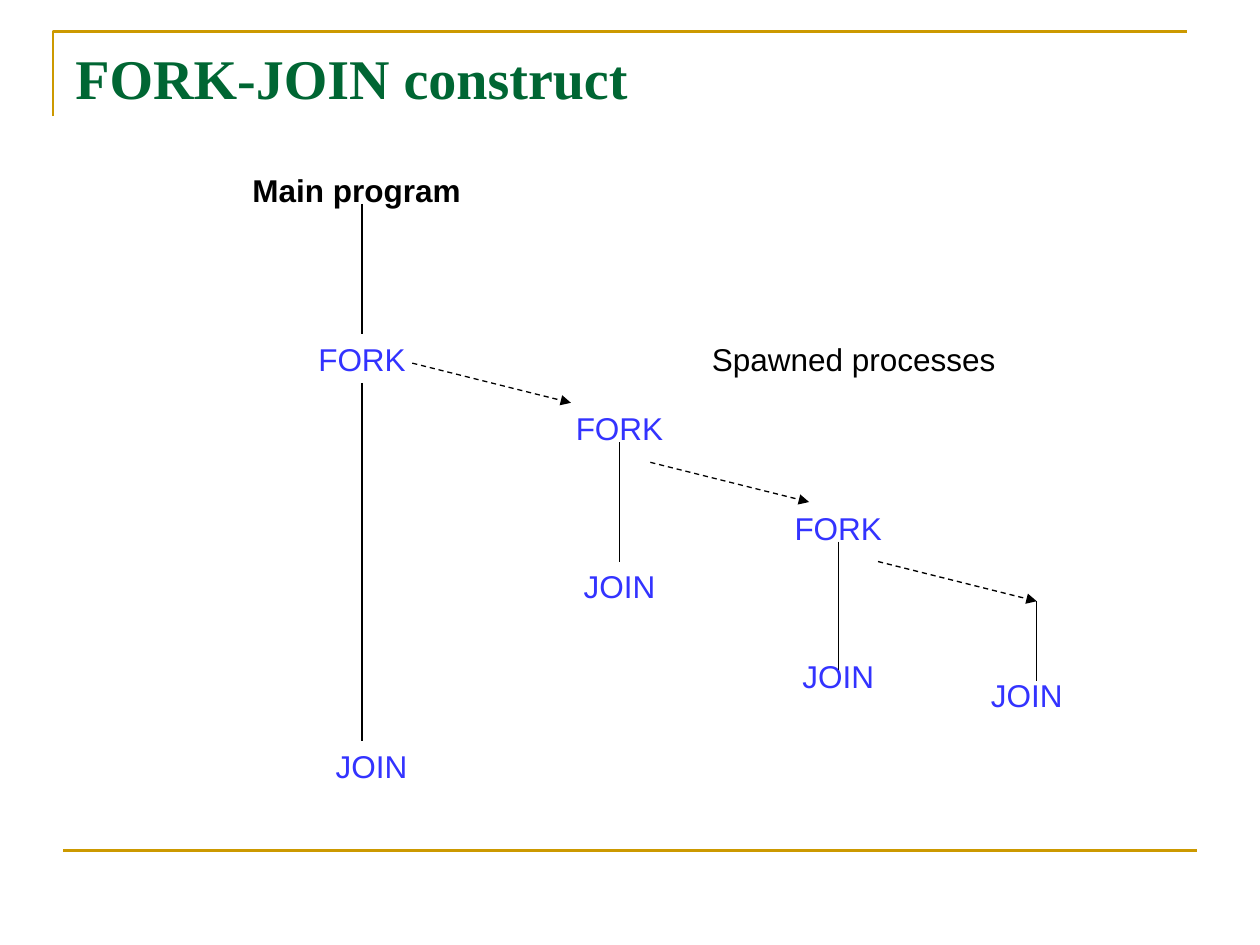
"""Build the FORK-JOIN construct slide."""
from dataclasses import dataclass

from lxml.etree import SubElement
from pptx import Presentation
from pptx.dml.color import RGBColor
from pptx.enum.dml import MSO_LINE
from pptx.enum.shapes import MSO_CONNECTOR
from pptx.enum.text import MSO_ANCHOR, MSO_AUTO_SIZE, PP_ALIGN
from pptx.oxml.ns import qn
from pptx.util import Cm, Pt


@dataclass(frozen=True)
class Theme:
    gold: RGBColor = RGBColor(0xCC, 0x99, 0x00)
    green: RGBColor = RGBColor(0x00, 0x66, 0x33)
    blue: RGBColor = RGBColor(0x33, 0x33, 0xFF)
    black: RGBColor = RGBColor(0x00, 0x00, 0x00)
    title_font: str = "Times New Roman"
    body_font: str = "Arial"
    title_size: float = 32
    body_size: float = 18
    rule_width: float = 1.5
    line_width: float = 0.75


class Painter:
    def __init__(self, page, theme):
        self.page = page
        self.theme = theme

    def text(self, words, left, top, width, height, font, size, color, bold=False, align=PP_ALIGN.LEFT):
        box = self.page.shapes.add_textbox(Cm(left), Cm(top), Cm(width), Cm(height))
        frame = box.text_frame
        frame.word_wrap = True
        frame.vertical_anchor = MSO_ANCHOR.TOP
        frame.text = words
        para = frame.paragraphs[0]
        para.alignment = align
        span = para.runs[0]
        span.font.name = font
        span.font.size = Pt(size)
        span.font.bold = bold
        span.font.color.rgb = color
        return box

    def title(self, words):
        theme = self.theme
        self.text(words, 1.27, 0.76, 22.86, 3.18, theme.title_font, theme.title_size, theme.green, True)

    def label(self, words, center, top, width, color, bold=False, align=PP_ALIGN.CENTER):
        theme = self.theme
        box = self.text(words, center - width / 2, top, width, 1.02,
                        theme.body_font, theme.body_size, color, bold, align)
        box.text_frame.auto_size = MSO_AUTO_SIZE.SHAPE_TO_FIT_TEXT

    def line(self, start, end, color, width):
        x1, y1, x2, y2 = map(Cm, (*start, *end))
        connector = self.page.shapes.add_connector(MSO_CONNECTOR.STRAIGHT, x1, y1, x2, y2)
        connector.line.color.rgb = color
        connector.line.width = Pt(width)
        SubElement(connector._element.spPr, qn("a:effectLst"))
        return connector

    def process(self, x, top, bottom):
        self.line((x, top), (x, bottom), self.theme.black, self.theme.line_width)

    def spawn(self, x, y):
        arrow = self.line((x, y), (x + 3.2, y + 0.8), self.theme.black, self.theme.line_width)
        arrow.line.dash_style = MSO_LINE.DASH
        SubElement(arrow.line._get_or_add_ln(), qn("a:tailEnd"), type="triangle")

    def corner(self, points):
        start, *rest = [(Cm(x), Cm(y)) for x, y in points]
        builder = self.page.shapes.build_freeform(*start)
        builder.add_line_segments(rest, close=False)
        shape = builder.convert_to_shape()
        shape.shadow.inherit = False
        shape.fill.background()
        shape.line.color.rgb = self.theme.gold
        shape.line.width = Pt(self.theme.rule_width)


def main():
    deck = Presentation()
    deck.slide_width, deck.slide_height = Cm(25.4), Cm(19.05)
    theme = Theme()
    painter = Painter(deck.slides.add_slide(deck.slide_layouts[6]), theme)

    painter.corner([(1.07, 2.34), (1.07, 0.64), (23.93, 0.64)])
    painter.line((1.27, 17.15), (24.13, 17.15), theme.gold, theme.rule_width)
    painter.title("FORK-JOIN construct")
    painter.label("Main program", 7.19, 3.33, 6.6, theme.black, bold=True)
    painter.label("Spawned processes", 18.61, 6.73, 9.02, theme.black, align=PP_ALIGN.LEFT)

    for center, top in [(7.3, 6.73), (12.49, 8.13), (16.9, 10.13)]:
        painter.label("FORK", center, top, 4, theme.blue)
    for center, top in [(7.49, 14.94), (12.49, 11.3), (16.9, 13.13), (20.7, 13.51)]:
        painter.label("JOIN", center, top, 3.2, theme.blue)
    for x, top, bottom in [(7.3, 4.11, 6.73), (7.3, 7.72, 14.94), (12.49, 8.92, 11.33),
                           (16.9, 10.92, 13.51), (20.9, 12.12, 13.72)]:
        painter.process(x, top, bottom)
    for x, y in [(8.31, 7.32), (13.11, 9.32), (17.7, 11.32)]:
        painter.spawn(x, y)

    deck.save("out.pptx")


if __name__ == "__main__":
    main()
